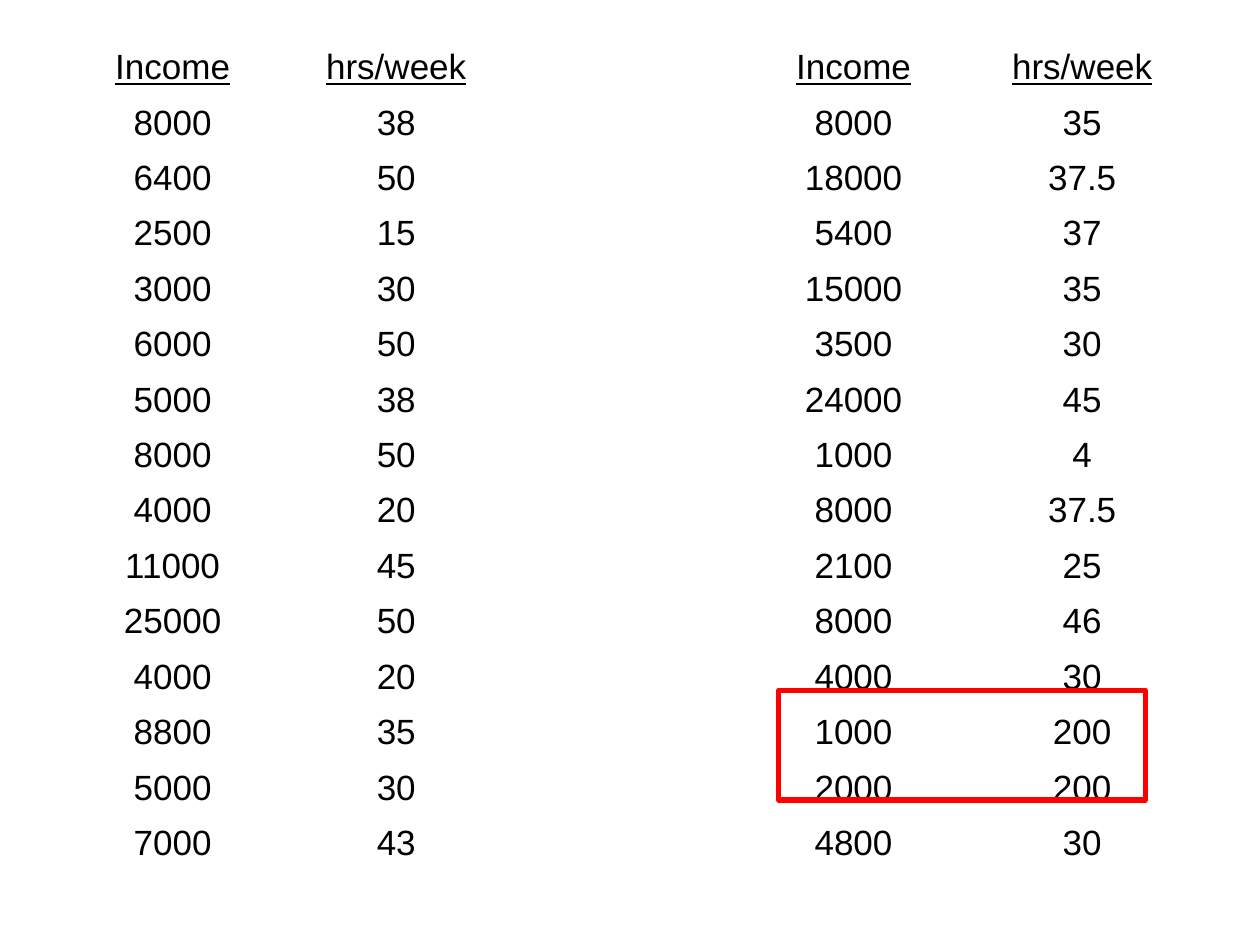
import pptx
import pptx.dml.color
import pptx.enum.shapes
import pptx.enum.text
import pptx.util

Inches = pptx.util.Inches
Pt = pptx.util.Pt

HEADINGS = ("Income", "hrs/week")
LEFT_RECORDS = [
    ("8000", "38"), ("6400", "50"), ("2500", "15"), ("3000", "30"),
    ("6000", "50"), ("5000", "38"), ("8000", "50"), ("4000", "20"),
    ("11000", "45"), ("25000", "50"), ("4000", "20"), ("8800", "35"),
    ("5000", "30"), ("7000", "43"),
]
RIGHT_RECORDS = [
    ("8000", "35"), ("18000", "37.5"), ("5400", "37"), ("15000", "35"),
    ("3500", "30"), ("24000", "45"), ("1000", "4"), ("8000", "37.5"),
    ("2100", "25"), ("8000", "46"), ("4000", "30"), ("1000", "200"),
    ("2000", "200"), ("4800", "30"),
]
COLUMN_WIDTHS = (1.74, 1.81, 1.82, 1.81, 1.82)
ROW_HEIGHT = 0.44


def color(hex_string):
    return pptx.dml.color.RGBColor.from_string(hex_string)


class SlideBuilder:
    font_name = "Arial"
    font_size = 20
    text_color = "000000"
    highlight_color = "FF0000"

    def __init__(self, slide):
        self.slide = slide

    def fill_cell(self, cell, text, underline):
        cell.fill.background()
        cell.vertical_anchor = pptx.enum.text.MSO_ANCHOR.BOTTOM
        if not text:
            return
        paragraph = cell.text_frame.paragraphs[0]
        paragraph.alignment = pptx.enum.text.PP_ALIGN.CENTER
        paragraph.line_spacing = 0.93
        run = paragraph.add_run()
        run.text = text
        run.font.name = self.font_name
        run.font.size = Pt(self.font_size)
        run.font.color.rgb = color(self.text_color)
        run.font.underline = underline

    def table(self, left, top, column_widths, row_height, rows):
        """Add a plain table whose first row is underlined."""
        frame = self.slide.shapes.add_table(
            len(rows), len(column_widths), Inches(left), Inches(top),
            Inches(sum(column_widths)), Inches(row_height * len(rows)))
        table = frame.table
        table.first_row = False
        table.horz_banding = False
        for column, width in zip(table.columns, column_widths):
            column.width = Inches(width)
        for row_index, texts in enumerate(rows):
            table.rows[row_index].height = Inches(row_height)
            for column_index, text in enumerate(texts):
                self.fill_cell(table.cell(row_index, column_index), text,
                               underline=row_index == 0)

    def highlight(self, left, top, width, height):
        """Add an unfilled frame around values that stand out."""
        shape = self.slide.shapes.add_shape(
            pptx.enum.shapes.MSO_SHAPE.RECTANGLE,
            Inches(left), Inches(top), Inches(width), Inches(height))
        shape.shadow.inherit = False
        shape.fill.background()
        shape.line.color.rgb = color(self.highlight_color)
        shape.line.width = Pt(3)


def main():
    presentation = pptx.Presentation()
    presentation.slide_width = Inches(10)
    presentation.slide_height = Inches(7.5)
    blank_layout = presentation.slide_layouts[6]
    builder = SlideBuilder(presentation.slides.add_slide(blank_layout))

    rows = [(*HEADINGS, "", *HEADINGS)]
    rows += [(*left, "", *right)
             for left, right in zip(LEFT_RECORDS, RIGHT_RECORDS)]
    builder.table(0.5, 0.3, COLUMN_WIDTHS, ROW_HEIGHT, rows)
    builder.highlight(6.18, 5.48, 2.91, 0.87)

    presentation.save("out.pptx")


if __name__ == "__main__":
    main()
